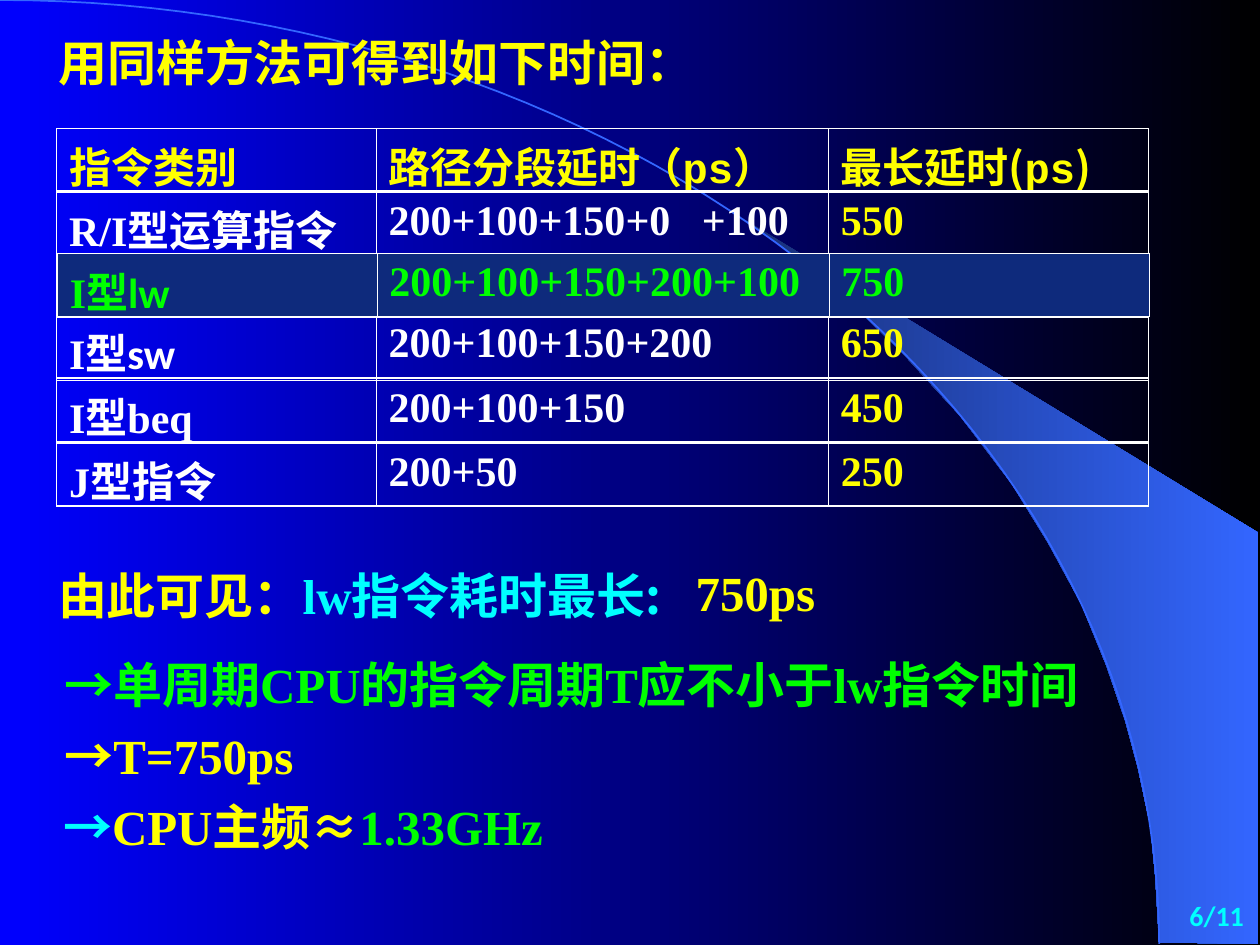
from math import cos, pi, sin

from lxml import etree
from pptx import Presentation
from pptx.dml.color import RGBColor
from pptx.enum.text import MSO_ANCHOR, MSO_AUTO_SIZE, PP_ALIGN
from pptx.oxml.ns import qn
from pptx.util import Pt

TOP = MSO_ANCHOR.TOP
FIT_SHAPE = MSO_AUTO_SIZE.SHAPE_TO_FIT_TEXT
NO_FIT = MSO_AUTO_SIZE.NONE
LEFT, RIGHT = PP_ALIGN.LEFT, PP_ALIGN.RIGHT

BLUE = RGBColor(0x00, 0x00, 0xFF)
BLACK = RGBColor(0x00, 0x00, 0x00)
DEEP_BLUE = RGBColor(0x18, 0x2F, 0x76)
BRIGHT_BLUE = RGBColor(0x33, 0x66, 0xFF)
HIGHLIGHT = RGBColor(0x0E, 0x2A, 0x7C)
WHITE = RGBColor(0xFF, 0xFF, 0xFF)
YELLOW = RGBColor(0xFF, 0xFF, 0x00)
GREEN = RGBColor(0x00, 0xFF, 0x00)
CYAN = RGBColor(0x00, 0xFF, 0xFF)

CJK, TIMES = "Noto Sans CJK SC", "Times New Roman"
COURIER, CALIBRI = "Courier New", "Calibri"

# Table measures in points
TABLE_LEFT, TABLE_TOP = 32.4, 73.4
COLUMN_WIDTHS = (182.6, 258.4, 183)
ROW_HEIGHT = 36
THIN, THICK = 0.45, 1.47

# Edge of the bright band, in points
BAND = [(662.4, 538.6), (719.3, 539.3), (719.3, 304.6), (424.1, 124.6),
        (449.3, 143.3), (470.2, 159.8), (493.2, 180), (515.5, 201.6),
        (548.6, 237.6), (578.2, 276.5), (599, 310.3), (617.8, 344.9),
        (632.2, 380.2), (643, 411.8), (650.2, 438.5), (657.4, 472.3),
        (660.2, 501.1)]
ARC_WIDTH, ARC_HEIGHT, ARC_STEPS = 662.4, 539.3, 60


def set_gradient(fill, start, end):
    """Left-to-right gradient between two colours."""
    fill.gradient()
    fill.gradient_angle = 0
    for stop, color, position in zip(fill.gradient_stops, (start, end), (0, 1)):
        stop.color.rgb = color
        stop.position = position


def add_outline(slide, points, close):
    builder = slide.shapes.build_freeform(
        Pt(points[0][0]), Pt(points[0][1]), scale=1.0)
    builder.add_line_segments([(Pt(x), Pt(y)) for x, y in points[1:]], close=close)
    shape = builder.convert_to_shape()
    shape.shadow.inherit = False
    return shape


def add_backdrop(slide):
    """Gradient background, bright band and thin arc."""
    set_gradient(slide.background.fill, BLUE, BLACK)
    band = add_outline(slide, BAND, close=True)
    set_gradient(band.fill, DEEP_BLUE, BRIGHT_BLUE)
    band.line.fill.background()

    angles = [step * pi / 2 / ARC_STEPS for step in range(ARC_STEPS + 1)]
    arc = add_outline(slide, [(ARC_WIDTH * sin(angle), ARC_HEIGHT * (1 - cos(angle)))
                              for angle in angles], close=False)
    arc.fill.background()
    arc.line.color.rgb = BRIGHT_BLUE
    arc.line.width = Pt(1)
    return arc


def add_runs(paragraph, runs, size):
    for text, font_name, color in runs:
        run = paragraph.add_run()
        run.text = text
        font = run.font
        font.size, font.bold, font.name = Pt(size), True, font_name
        font.color.rgb = color
        etree.SubElement(font._element, qn("a:ea")).set("typeface", CJK)


def fill_text(shape, runs, size, align=LEFT, spacing=1.0, auto_size=FIT_SHAPE):
    frame = shape.text_frame
    frame.word_wrap = True
    frame.auto_size = auto_size
    frame.vertical_anchor = TOP
    frame.margin_left = frame.margin_right = Pt(7.6)
    frame.margin_top = frame.margin_bottom = Pt(3.6)
    paragraph = frame.paragraphs[0]
    paragraph.alignment = align
    paragraph.line_spacing = spacing
    add_runs(paragraph, runs, size)


def add_title(slide, behind, runs):
    title = slide.shapes.title
    title.left, title.top, title.width, title.height = Pt(25.7), Pt(15), Pt(458), Pt(42)
    fill_text(title, runs, 28)
    behind.element.addnext(title.element)


def add_text(slide, box, runs, size=28, **options):
    shape = slide.shapes.add_textbox(*(Pt(value) for value in box))
    fill_text(shape, runs, size, **options)


def set_borders(cell, top, bottom):
    properties = cell._tc.get_or_add_tcPr()
    sides = (("a:lnL", THIN), ("a:lnR", THIN), ("a:lnT", top), ("a:lnB", bottom))
    for index, (tag, width) in enumerate(sides):
        line = etree.Element(qn(tag), w=str(Pt(width)))
        fill = etree.SubElement(line, qn("a:solidFill"))
        etree.SubElement(fill, qn("a:srgbClr"), val=str(WHITE))
        properties.insert(index, line)


def add_tab_stop(paragraph, position):
    properties = paragraph._p.get_or_add_pPr()
    tabs = etree.SubElement(properties, qn("a:tabLst"))
    etree.SubElement(tabs, qn("a:tab"), pos=str(Pt(position)), algn="l")


def add_grid(slide, left, top, first_row, row_count=1, fill=None,
             top_line=THIN, rule=THIN):
    """Table with text in its first row; rule is the line below that row."""
    table = slide.shapes.add_table(
        row_count, len(COLUMN_WIDTHS), Pt(left), Pt(top),
        Pt(sum(COLUMN_WIDTHS)), Pt(ROW_HEIGHT * row_count)).table
    table.first_row = table.horz_banding = False
    for column, width in zip(table.columns, COLUMN_WIDTHS):
        column.width = Pt(width)
    for index, row in enumerate(table.rows):
        row.height = Pt(ROW_HEIGHT)
        for cell in row.cells:
            cell.margin_left = cell.margin_right = Pt(7.1)
            cell.margin_top = cell.margin_bottom = Pt(3.6)
            if fill is None:
                cell.fill.background()
            else:
                cell.fill.solid()
                cell.fill.fore_color.rgb = fill
            set_borders(cell, rule if index == 1 else top_line,
                        rule if index == 0 else THIN)
    for cell, runs in zip(table.rows[0].cells, first_row):
        paragraph = cell.text_frame.paragraphs[0]
        if any("\t" in text for text, _, _ in runs):
            add_tab_stop(paragraph, 179)
        add_runs(paragraph, runs, 24)


def add_strip(slide, top, kind, mnemonic, mnemonic_font, stages, total,
              left=TABLE_LEFT, color=WHITE, total_color=YELLOW, **options):
    """One instruction class with its stage delays and total."""
    label = [(kind, TIMES, color)]
    if mnemonic:
        label.append((mnemonic, mnemonic_font, color))
    row = [label, [(stages, TIMES, color)], [(total, TIMES, total_color)]]
    add_grid(slide, left, top, row, **options)


def add_delay_tables(slide):
    header = [[("指令类别", CJK, YELLOW)],
              [("路径分段延时（", CJK, YELLOW), ("ps", COURIER, YELLOW), ("）", CJK, YELLOW)],
              [("最长延时(", CJK, YELLOW), ("ps", COURIER, YELLOW), (")", CJK, YELLOW)]]
    add_grid(slide, TABLE_LEFT, TABLE_TOP, header, row_count=6, rule=THICK)

    load_word = ("I型", "lw", CALIBRI, "200+100+150+200+100", "750")
    add_strip(slide, 109.4, "R/I型运算指令", "", TIMES, "200+100+150+0\t+100", "550",
              top_line=THICK)
    add_strip(slide, 145.4, *load_word)
    add_strip(slide, 179.5, "I型", "sw", CALIBRI, "200+100+150+200", "650")
    add_strip(slide, 216.3, "I型", "beq", TIMES, "200+100+150", "450")
    add_strip(slide, 253, "J型指令", "", TIMES, "200+50", "250")

    # Highlight on the slowest class
    add_strip(slide, 144.7, *load_word, left=32.8, color=GREEN, total_color=GREEN,
              fill=HIGHLIGHT)


def main():
    presentation = Presentation()
    presentation.slide_width, presentation.slide_height = Pt(720), Pt(540)
    slide = presentation.slides.add_slide(presentation.slide_layouts[5])

    arc = add_backdrop(slide)
    add_title(slide, arc, [("用同样方法可得到如下时间：", CJK, YELLOW)])
    add_delay_tables(slide)

    # Conclusions
    conclusions = [
        ((25.6, 309.6, 391, 52), [("由此可见：", CJK, YELLOW), ("lw", TIMES, CYAN),
                                  ("指令耗时最长:", CJK, CYAN)]),
        ((29.2, 360.4, 672, 52), [
            ("→单周期", CJK, GREEN), ("CPU", TIMES, GREEN), ("的指令周期", CJK, GREEN),
            ("T", TIMES, GREEN), ("应不小于", CJK, GREEN), ("lw", TIMES, GREEN),
            ("指令时间", CJK, GREEN)]),
        ((29.2, 400.7, 218, 52), [("→", CJK, YELLOW), ("T=750ps", TIMES, YELLOW)]),
        ((28.5, 441.8, 315, 52), [("→", CJK, CYAN), ("CPU主频", TIMES, YELLOW),
                                  ("≈", CJK, YELLOW), ("1.33GHz", TIMES, GREEN)]),
        ((389.9, 307.8, 119, 52), [("750ps", TIMES, YELLOW)]),
    ]
    for box, runs in conclusions:
        add_text(slide, box, runs, spacing=1.3)

    # Page number
    add_text(slide, (633.4, 509.8, 85, 28), [("6/11", CALIBRI, CYAN)],
             size=16, align=RIGHT, auto_size=NO_FIT)
    presentation.save("out.pptx")


if __name__ == "__main__":
    main()
